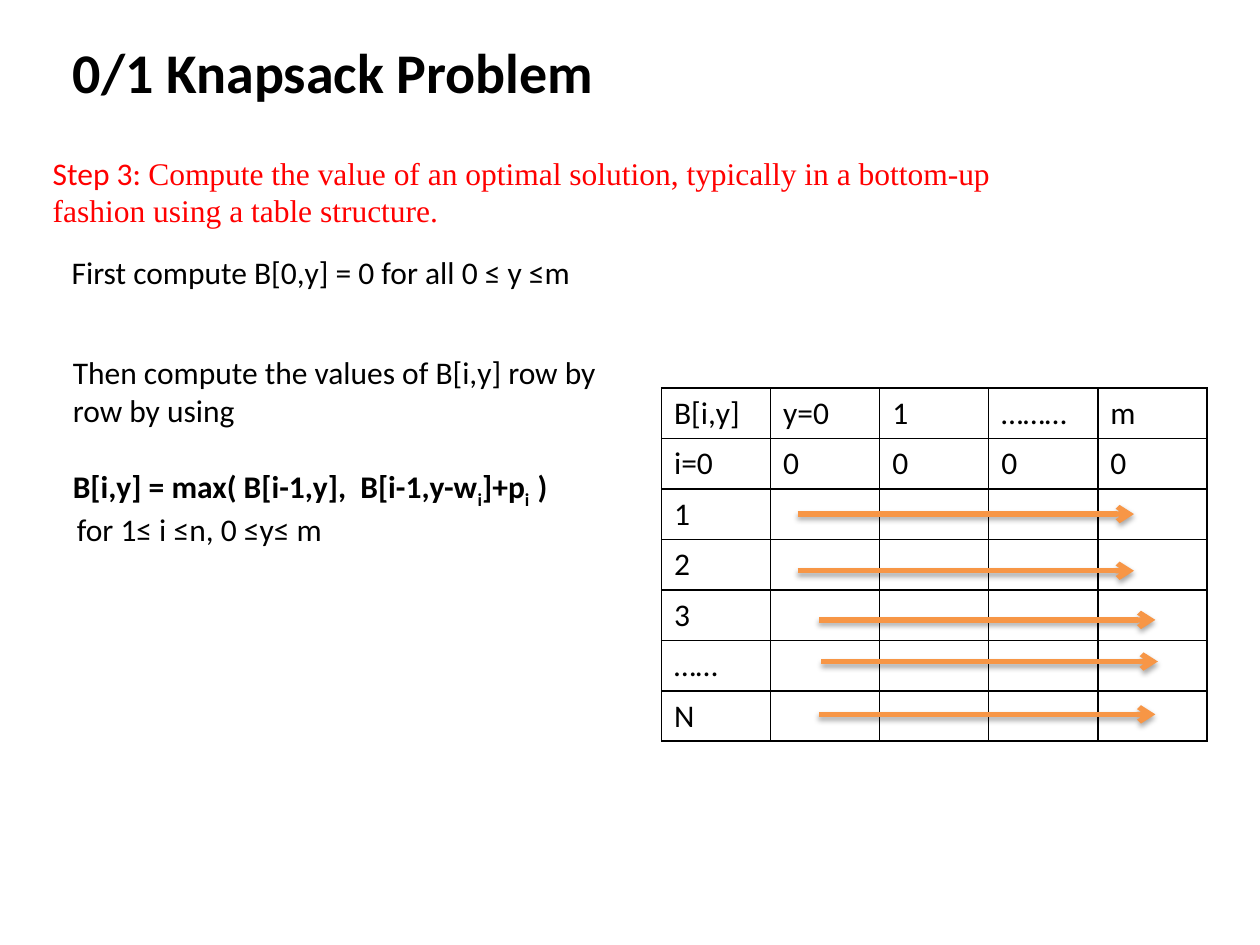
from dataclasses import dataclass

from lxml.etree import SubElement
from pptx import Presentation
from pptx.dml.color import RGBColor
from pptx.enum.shapes import MSO_CONNECTOR
from pptx.oxml.ns import qn
from pptx.util import Inches, Pt

COLORS = {"text": "000000", "step": "FF0000", "arrow": "F79646", "border": "000000"}
SANS, SERIF = "Calibri", "Times New Roman"


@dataclass
class Run:
    text: str
    font: str = SANS
    size: int = 18
    color: str = "text"
    bold: bool = False
    sub: bool = False


@dataclass
class Para:
    runs: list[Run]
    before: float = 0


@dataclass
class Box:
    left: float
    top: float
    width: float
    height: float
    paras: list[Para]
    wrap: bool = True


@dataclass
class Arrow:
    left: float
    y: float
    length: float = 2.67


BOXES = [
    Box(0.48, 0.25, 4.37, 0.64,
        [Para([Run("0/1 Knapsack Problem", size=32, bold=True)])], wrap=False),
    Box(0.32, 1.17, 8.25, 0.71, [Para([
        Run("Step 3: ", color="step"),
        Run("Compute the value of an optimal solution, typically in a bottom-up "
            "fashion using a table structure.", SERIF, color="step"),
    ])]),
    Box(0.47, 1.96, 5.61, 0.4,
        [Para([Run("First compute B[0,y] = 0 for all 0 ≤ y ≤m")])]),
    Box(0.48, 2.75, 4.37, 1.62, [
        Para([Run("Then compute the values of B[i,y] row by row by using")]),
        Para([
            Run("B[i,y] = max( B[i-1,y],  B[i-1,y-w", bold=True),
            Run("i", bold=True, sub=True),
            Run("]+p", bold=True),
            Run("i  ", bold=True, sub=True),
            Run(")", bold=True),
        ], before=22),
        Para([Run(" ", sub=True), Run("for 1≤ i ≤n, 0 ≤y≤ m")]),
    ]),
]

ROWS = [
    ["B[i,y]", "y=0", "1", "………", "m"],
    ["i=0"] + ["0"] * 4,
    *([label] + [""] * 4 for label in ("1", "2", "3", "……", "N")),
]

ARROWS = [Arrow(6.33, 4.08), Arrow(6.33, 4.53), Arrow(6.5, 4.92),
          Arrow(6.52, 5.25), Arrow(6.5, 5.67)]


def rgb(name: str) -> RGBColor:
    return RGBColor.from_string(COLORS[name])


def add_run(p, run: Run) -> None:
    r = p.add_run()
    r.text = run.text
    r.font.name = run.font
    r.font.size = Pt(run.size)
    r.font.bold = run.bold
    r.font.color.rgb = rgb(run.color)
    if run.sub:
        r.font._element.set("baseline", "-25000")


def add_box(s, box: Box) -> None:
    sp = s.shapes.add_textbox(Inches(box.left), Inches(box.top),
                              Inches(box.width), Inches(box.height))
    tf = sp.text_frame
    tf.word_wrap = box.wrap
    for i, para in enumerate(box.paras):
        p = tf.paragraphs[0] if i == 0 else tf.add_paragraph()
        if para.before:
            p.space_before = Pt(para.before)
        for run in para.runs:
            add_run(p, run)


def add_borders(cell) -> None:
    tc_pr = cell._tc.get_or_add_tcPr()
    for i, side in enumerate(("lnL", "lnR", "lnT", "lnB")):
        ln = tc_pr.makeelement(qn(f"a:{side}"), {"w": str(Pt(1))})
        fill = SubElement(ln, qn("a:solidFill"))
        SubElement(fill, qn("a:srgbClr"), val=COLORS["border"])
        tc_pr.insert(i, ln)


def add_grid(s, rows: list[list[str]]) -> None:
    n_rows, n_cols = len(rows), len(rows[0])
    table = s.shapes.add_table(n_rows, n_cols, Inches(5.25), Inches(3.08),
                               Inches(4.33), Inches(0.4 * n_rows)).table
    table.first_row = table.horz_banding = False
    for i, row in enumerate(rows):
        for j, text in enumerate(row):
            cell = table.cell(i, j)
            cell.fill.background()
            add_borders(cell)
            if text:
                add_run(cell.text_frame.paragraphs[0], Run(text))


def add_arrow(s, arrow: Arrow) -> None:
    y = Inches(arrow.y)
    sp = s.shapes.add_connector(MSO_CONNECTOR.STRAIGHT, Inches(arrow.left), y,
                                Inches(arrow.left + arrow.length), y)
    sp.line.color.rgb = rgb("arrow")
    sp.line.width = Pt(3)
    SubElement(sp.line._get_or_add_ln(), qn("a:tailEnd"), type="arrow")
    effects = SubElement(sp._element.spPr, qn("a:effectLst"))
    shadow = SubElement(effects, qn("a:outerShdw"), blurRad=str(Pt(3.1)),
                        dist=str(Pt(1.8)), dir="5400000", rotWithShape="0")
    color = SubElement(shadow, qn("a:srgbClr"), val=COLORS["text"])
    SubElement(color, qn("a:alpha"), val="35000")


def main() -> None:
    prs = Presentation()
    prs.slide_width, prs.slide_height = Inches(10), Inches(7.5)
    s = prs.slides.add_slide(prs.slide_layouts[6])
    for box in BOXES:
        add_box(s, box)
    add_grid(s, ROWS)
    for arrow in ARROWS:
        add_arrow(s, arrow)
    prs.save("out.pptx")


if __name__ == "__main__":
    main()
